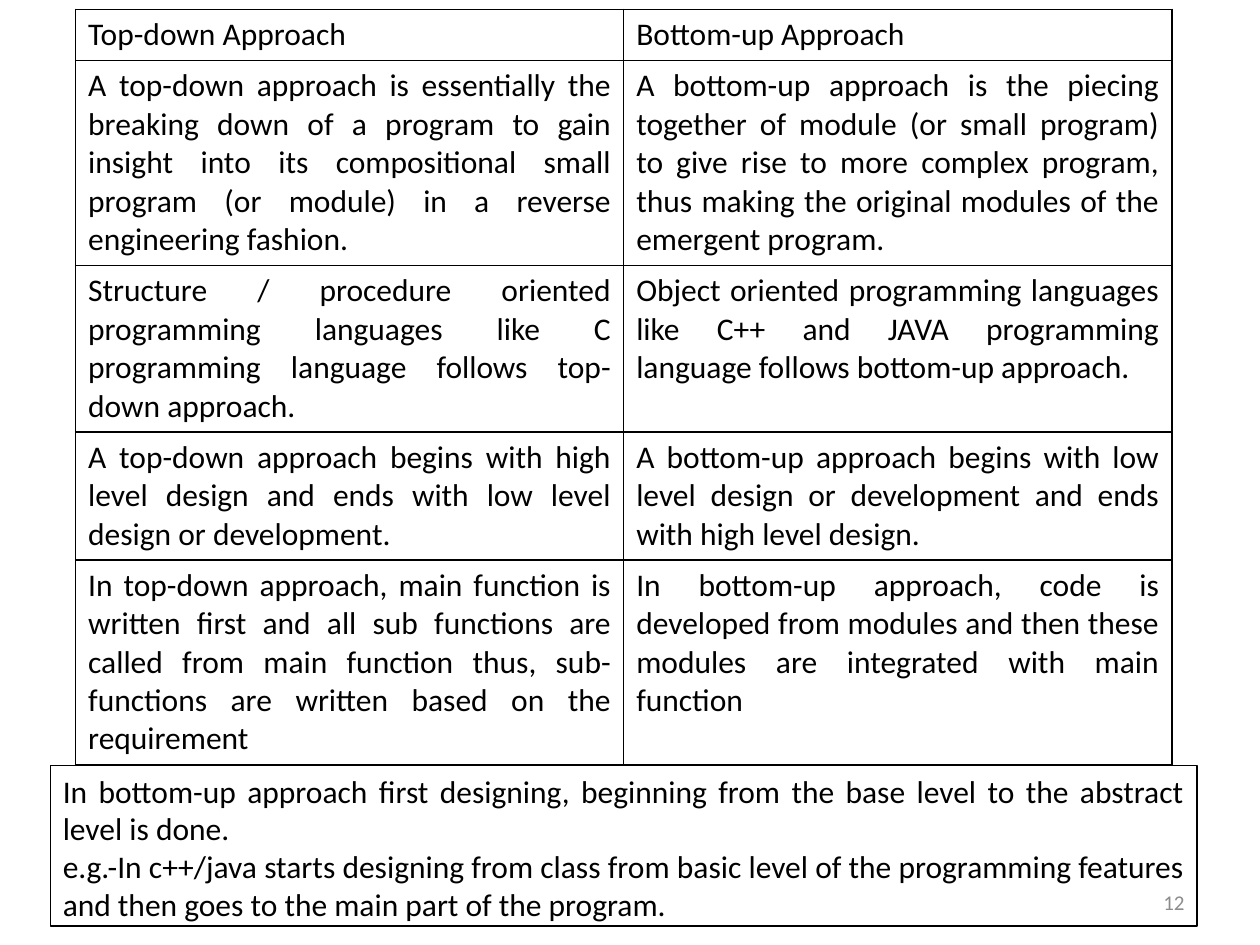
from pptx import Presentation as Deck
from pptx.dml.color import RGBColor as Rgb
from pptx.enum.shapes import MSO_SHAPE as Kind
from pptx.enum.text import MSO_ANCHOR as Anchor, PP_ALIGN as Align
from pptx.oxml import parse_xml
from pptx.oxml.ns import nsdecls
from pptx.util import Inches, Pt

ROWS = [
    ("Top-down Approach", "Bottom-up Approach"),
    ("A top-down approach is essentially the breaking down of a program to gain "
     "insight into its compositional small program (or module) in a reverse "
     "engineering fashion.",
     "A bottom-up approach is the piecing together of module (or small program) "
     "to give rise to more complex program, thus making the original modules of "
     "the emergent program."),
    ("Structure / procedure oriented programming languages like C programming "
     "language follows top-down approach.",
     "Object oriented programming languages like C++ and JAVA programming "
     "language follows bottom-up approach."),
    ("A top-down approach begins with high level design and ends with low level "
     "design or development.",
     "A bottom-up approach begins with low level design or development and ends "
     "with high level design."),
    ("In top-down approach, main function is written first and all sub functions "
     "are called from main function thus, sub-functions are written based on the "
     "requirement",
     "In bottom-up approach, code is developed from modules and then these "
     "modules are integrated with main function"),
]
LINES = [1, 5, 4, 3, 5]  # text lines in each table row
NOTES = [
    "In bottom-up approach first designing, beginning from the base level to the "
    "abstract level is done.",
    "e.g.-In c++/java starts designing from class from basic level of the "
    "programming features and then goes to the main part of the program.",
]


def tint(code):
    return Rgb.from_string(code)


class Page:
    wide, high = Inches(10), Inches(7.5)
    ink, gray = "000000", "8C8C8C"
    body = {"name": "Calibri", "size": Pt(18)}
    small = {"name": "Calibri", "size": Pt(12)}
    line, pad = Inches(0.3), Inches(0.1)

    def __init__(self):
        self.deck = Deck()
        self.deck.slide_width, self.deck.slide_height = self.wide, self.high
        self.slide = self.deck.slides.add_slide(self.deck.slide_layouts[6])

    def place(self, x, y, w, h):
        """Turn shares of the slide's size into lengths."""
        return [int(share * full) for share, full in
                zip((x, y, w, h), (self.wide, self.high) * 2)]

    def fill_text(self, frame, texts, align=Align.JUSTIFY, look=body, color=ink):
        frame.word_wrap = True
        for i, text in enumerate(texts):
            para = frame.paragraphs[0] if i == 0 else frame.add_paragraph()
            para.alignment = align
            run = para.add_run()
            run.text = text
            for key, value in look.items():
                setattr(run.font, key, value)
            run.font.color.rgb = tint(color)

    def edge(self, cell):
        props = cell._tc.get_or_add_tcPr()
        for i, side in enumerate(("lnL", "lnR", "lnT", "lnB")):
            props.insert(i, parse_xml(
                f'<a:{side} {nsdecls("a")} w="12700"><a:solidFill>'
                f'<a:srgbClr val="{self.ink}"/></a:solidFill></a:{side}>'))

    def table(self, rows, lines, x, y, w):
        left, top, width, _ = self.place(x, y, w, 0)
        highs = [n * self.line + self.pad for n in lines]
        grid = self.slide.shapes.add_table(
            len(rows), len(rows[0]), left, top, width, sum(highs)).table
        grid.first_row = grid.horz_banding = False
        for row, high, texts in zip(grid.rows, highs, rows):
            row.height = high
            for cell, text in zip(row.cells, texts):
                cell.fill.background()
                self.edge(cell)
                self.fill_text(cell.text_frame, [text])

    def box(self, texts, *area):
        shape = self.slide.shapes.add_shape(Kind.RECTANGLE, *self.place(*area))
        shape.shadow.inherit = False
        shape.fill.background()
        shape.line.color.rgb = tint(self.ink)
        shape.line.width = Pt(0.75)
        shape.text_frame.vertical_anchor = Anchor.TOP
        self.fill_text(shape.text_frame, texts)

    def label(self, text, *area):
        frame = self.slide.shapes.add_textbox(*self.place(*area)).text_frame
        frame.vertical_anchor = Anchor.MIDDLE
        self.fill_text(frame, [text], Align.RIGHT, self.small, self.gray)


page = Page()
# Comparison table
page.table(ROWS, LINES, 0.06, 0.01, 0.87)
# Page number
page.label("12", 0.72, 0.93, 0.23, 0.05)
# Closing note
page.box(NOTES, 0.04, 0.81, 0.91, 0.17)
page.deck.save("out.pptx")
